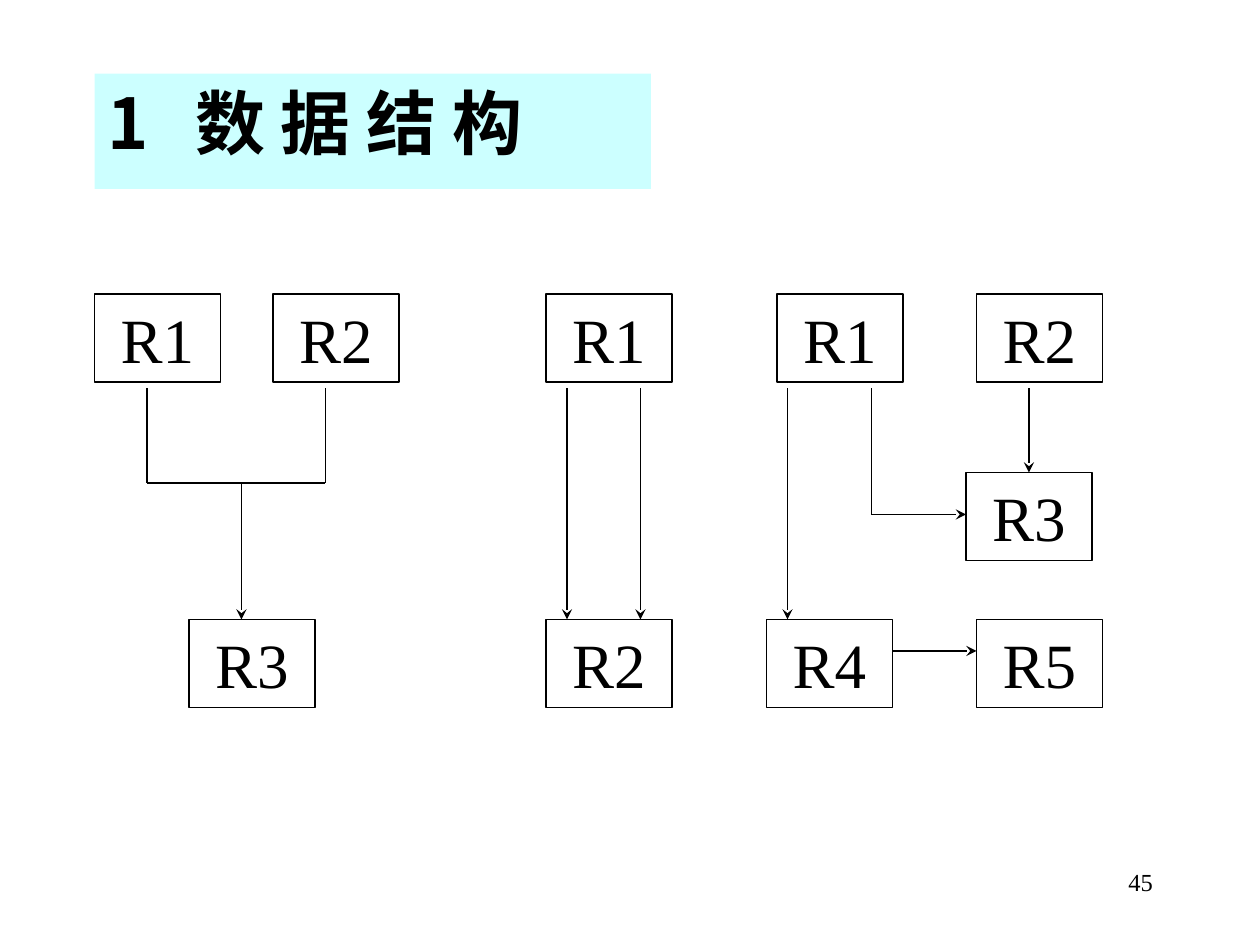
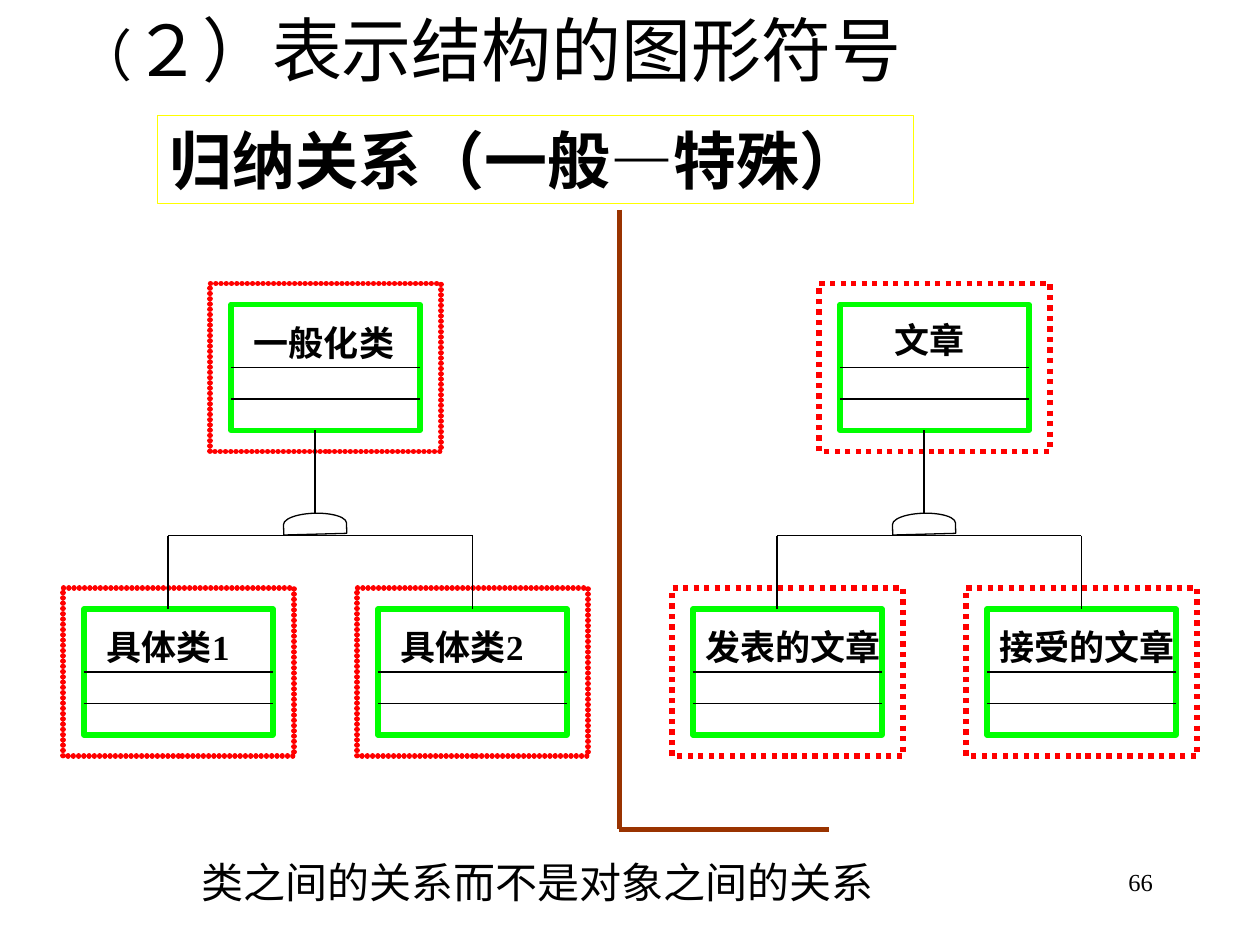
import dataclasses

import lxml.etree
import pptx
import pptx.dml.color
import pptx.enum.dml
import pptx.enum.shapes
import pptx.enum.text
import pptx.oxml.ns
import pptx.util

SHAPE = pptx.enum.shapes.MSO_SHAPE
ALIGN = pptx.enum.text.PP_ALIGN
qn = pptx.oxml.ns.qn


@dataclasses.dataclass(frozen=True)
class Theme:
    ink: str = "000000"
    title_band: str = "CCFFFF"
    class_frame: str = "00FF00"
    object_frame: str = "FF0000"
    subtitle_frame: str = "FFFF00"
    divider: str = "993300"
    serif: str = "Times New Roman"
    sans: str = "Noto Sans CJK SC"
    title: int = 40
    title_bracket: int = 32
    record: int = 36
    note: int = 24
    class_name: int = 20
    page: int = 14
    thin: float = 0.75
    thick: float = 3


T = Theme()


def px(n):
    return pptx.util.Emu(n * 9525)


def rgb(value):
    return pptx.dml.color.RGBColor.from_string(value)


def add_text(p, text, size, font=T.serif, bold=False):
    r = p.add_run()
    r.text = text
    r.font.size = pptx.util.Pt(size)
    r.font.bold = bold
    r.font.name = font
    r.font.color.rgb = rgb(T.ink)
    ea = lxml.etree.SubElement(r.font._element, qn("a:ea"))
    ea.set("typeface", T.sans)


def prepare_frame(tf, align=ALIGN.LEFT):
    tf.word_wrap = True
    tf.auto_size = pptx.enum.text.MSO_AUTO_SIZE.NONE
    tf.vertical_anchor = pptx.enum.text.MSO_ANCHOR.TOP
    p = tf.paragraphs[0]
    p.alignment = align
    return p


def add_label(shapes, box, text, size, align=ALIGN.LEFT, bold=False):
    tb = shapes.add_textbox(*map(px, box))
    add_text(prepare_frame(tb.text_frame, align), text, size, bold=bold)


def add_outline(shapes, kind, box, color=T.ink, width=T.thin):
    sp = shapes.add_shape(kind, *map(px, box))
    sp.shadow.inherit = False
    sp.fill.background()
    sp.line.color.rgb = rgb(color)
    sp.line.width = pptx.util.Pt(width)
    return sp


def add_line(shapes, start, end, color=T.ink, width=T.thin, arrow=False, top_of=None):
    c = shapes.add_connector(pptx.enum.shapes.MSO_CONNECTOR.STRAIGHT,
                             *map(px, start + end))
    c.line.color.rgb = rgb(color)
    c.line.width = pptx.util.Pt(width)
    if arrow:
        tail = lxml.etree.SubElement(c.line._get_or_add_ln(), qn("a:tailEnd"))
        tail.set("type", "stealth")
    lxml.etree.SubElement(c._element.spPr, qn("a:effectLst"))
    if top_of is not None:
        c.end_connect(top_of, 0)


def add_path(shapes, points, **style):
    for start, end in zip(points, points[1:]):
        add_line(shapes, start, end, **style)


def add_round_dots(sp):
    ln = sp.line._get_or_add_ln()
    ln.set("cap", "rnd")
    dash = lxml.etree.SubElement(ln, qn("a:custDash"))
    dot = lxml.etree.SubElement(dash, qn("a:ds"))
    dot.set("d", "100000")
    dot.set("sp", "0")


def add_title(s, box):
    title = s.shapes.title
    title.left, title.top, title.width, title.height = map(px, box)
    return title, prepare_frame(title.text_frame)


def add_page_number(s, number):
    add_label(s.shapes, (688, 656, 200, 48), number, T.page, ALIGN.RIGHT)


def record(shapes, x, y, name):
    sp = add_outline(shapes, SHAPE.RECTANGLE, (x, y, 96, 67))
    add_text(prepare_frame(sp.text_frame, ALIGN.CENTER), name, T.record)
    return sp


def two_parents(s, x, y):
    shapes = s.shapes.add_group_shape().shapes
    for name, dx, dy in (("R1", 0, 0), ("R2", 136, 0), ("R3", 72, 248)):
        record(shapes, x + dx, y + dy, name)
    add_path(shapes, [(x + 40, y + 72), (x + 40, y + 144),
                      (x + 176, y + 144), (x + 176, y + 72)])
    add_line(shapes, (x + 112, y + 144), (x + 112, y + 248), arrow=True)


def double_link(s, x, y):
    shapes = s.shapes.add_group_shape().shapes
    record(shapes, x, y, "R1")
    record(shapes, x, y + 248, "R2")
    for dx in (16, 72):
        add_line(shapes, (x + dx, y + 72), (x + dx, y + 248), arrow=True)


def network(s, x, y):
    shapes = s.shapes.add_group_shape().shapes
    for name, dx, dy in (("R1", 8, 0), ("R2", 160, 0), ("R4", 0, 248), ("R5", 160, 248)):
        record(shapes, x + dx, y + dy, name)
    r3 = record(shapes, x + 152, y + 136, "R3")
    add_line(shapes, (x + 16, y + 72), (x + 16, y + 248), arrow=True)
    add_line(shapes, (x + 80, y + 72), (x + 80, y + 168))
    add_line(shapes, (x + 80, y + 168), (x + 152, y + 168), arrow=True)
    add_line(shapes, (x + 96, y + 272), (x + 160, y + 272), arrow=True)
    add_line(shapes, (x + 200, y + 72), (x + 200, y + 136), arrow=True, top_of=r3)


def class_box(shapes, x, y, name, label, dotted):
    frame = add_outline(shapes, SHAPE.RECTANGLE, (x + 16, y + 16, 144, 96),
                        T.class_frame, T.thick)
    dx, dy, width = label
    add_label(shapes, (x + dx, y + dy, width, 42), name, T.class_name, bold=True)
    for row in (64, 88):
        add_line(shapes, (x + 16, y + row), (x + 160, y + row))
    outer = add_outline(shapes, SHAPE.RECTANGLE, (x, y, 176, 128), T.object_frame, T.thick)
    if dotted:
        add_round_dots(outer)
    else:
        outer.line.dash_style = pptx.enum.dml.MSO_LINE.ROUND_DOT
    return frame


def class_tree(s, x, y, names, parent_label, child_label, dotted=False):
    shapes = s.shapes.add_group_shape().shapes
    parent, first, second = names
    class_box(shapes, x + 112, y, parent, parent_label, dotted)
    class_box(shapes, x, y + 232, first, child_label, dotted)
    last = class_box(shapes, x + 224, y + 232, second, child_label, dotted)
    add_path(shapes, [(x + 80, y + 248), (x + 80, y + 192), (x + 312, y + 192)])
    add_line(shapes, (x + 312, y + 192), (x + 312, y + 248), top_of=last)
    symbol = add_outline(shapes, SHAPE.FLOWCHART_DELAY, (x + 184, y + 159, 16, 48))
    symbol.rotation = 268.5
    add_line(shapes, (x + 192, y + 112), (x + 192, y + 176))


def data_structure_slide(s):
    title, p = add_title(s, (72, 56, 424, 88))
    title.fill.solid()
    title.fill.fore_color.rgb = rgb(T.title_band)
    tabs = lxml.etree.SubElement(p._p.get_or_add_pPr(), qn("a:tabLst"))
    tab = lxml.etree.SubElement(tabs, qn("a:tab"))
    tab.set("pos", str(px(67)))
    tab.set("algn", "l")
    add_text(p, "1\t数 据 结 构", T.title, T.sans, bold=True)
    two_parents(s, 72, 224)
    double_link(s, 416, 224)
    network(s, 584, 224)
    add_page_number(s, "45")


def generalization_slide(s):
    title, p = add_title(s, (0, 0, 925, 144))
    title.text_frame.margin_left = px(58)
    add_text(p, "（", T.title_bracket, T.sans)
    add_text(p, "２）表示结构的图形符号", T.title, T.sans)
    class_tree(s, 48, 216, ("一般化类", "具体类1", "具体类2"),
               (24, 24, 128), (24, 24, 128), dotted=True)
    subtitle = add_outline(s.shapes, SHAPE.RECTANGLE, (120, 88, 576, 67), T.subtitle_frame)
    add_text(prepare_frame(subtitle.text_frame), "归纳关系（一般—特殊）", T.record, bold=True)
    class_tree(s, 512, 216, ("文章", "发表的文章", "接受的文章"),
               (48, 22, 96), (16, 24, 160))
    add_path(s.shapes, [(472, 160), (472, 632), (632, 632)], color=T.divider, width=T.thick)
    add_label(s.shapes, (144, 648, 584, 48), "类之间的关系而不是对象之间的关系", T.note)
    add_page_number(s, "66")


def main():
    prs = pptx.Presentation()
    prs.slide_width, prs.slide_height = px(960), px(720)
    for build in (data_structure_slide, generalization_slide):
        build(prs.slides.add_slide(prs.slide_layouts[5]))
    prs.save("out.pptx")


if __name__ == "__main__":
    main()
